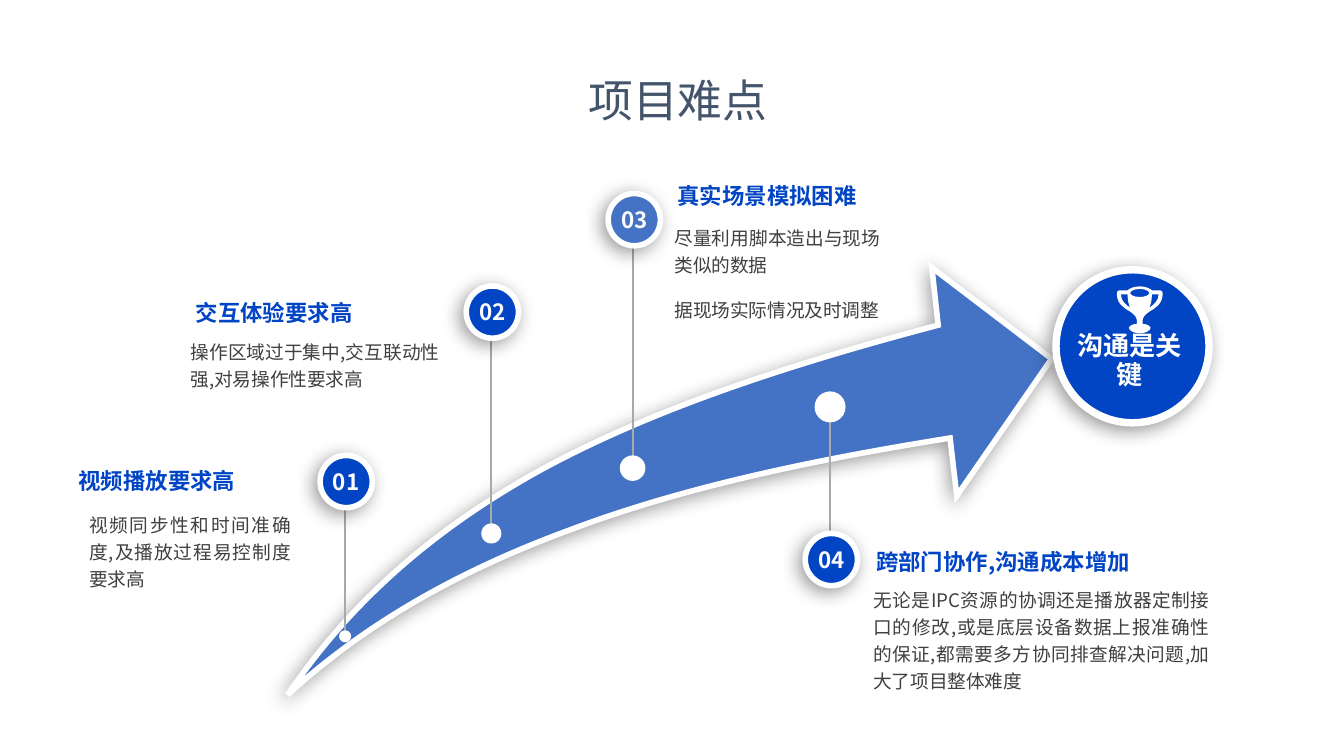
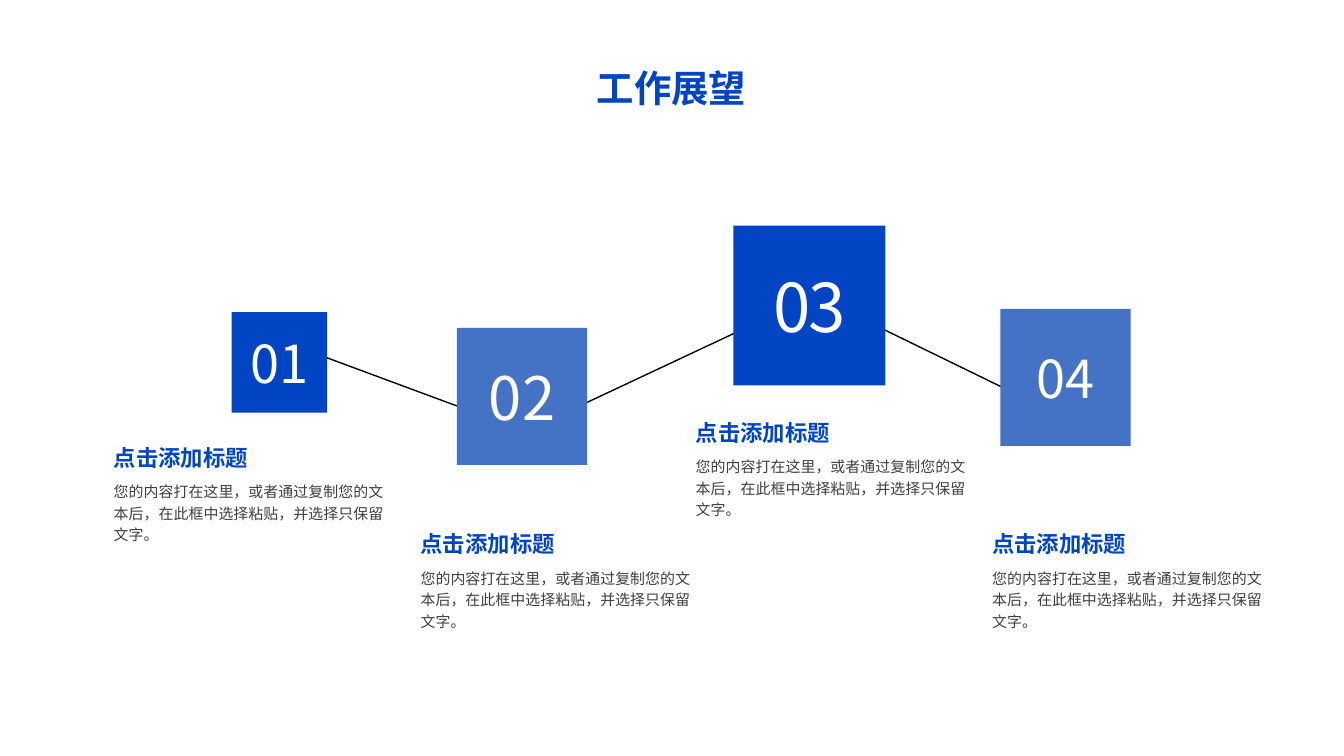
from itertools import pairwise

from lxml.etree import SubElement
from pptx import Presentation
from pptx.dml.color import RGBColor
from pptx.enum.shapes import MSO_CONNECTOR, MSO_SHAPE
from pptx.enum.text import MSO_ANCHOR, MSO_AUTO_SIZE, PP_ALIGN
from pptx.oxml.ns import qn
from pptx.util import Pt

FONT = "Noto Sans CJK SC"
BLUE, SOFT_BLUE, SLATE = "0145C5", "4472C4", "44546A"
GREY, STEM_GREY, WHITE, BLACK = "404040", "A6AAA9", "FFFFFF", "000000"
HEADING = dict(size=12, color=BLUE, bold=True, before=10)
BADGE_SIZE = 28

# Boxes are (left, top, width, height); dots are (x, y, diameter).
DIFFICULTIES = [
    dict(number="01", badge=(185.5, 258), dot=(184.9, 340.9, 6.5), fill=BLUE,
         heading="视频播放要求高", heading_box=(42.1, 246, 113, 24.5),
         body=["视频同步性和时间准确度,及播放过程易控制度要求高"],
         body_box=(47.8, 273, 108, 31)),
    dict(number="02", badge=(263.8, 167.2), dot=(263.2, 285.8, 10.8), fill=BLUE,
         heading="交互体验要求高", heading_box=(104.9, 156.2, 133, 24.5),
         body=["操作区域过于集中,交互联动性强,对易操作性要求高"],
         body_box=(102.1, 180.2, 133.2, 37)),
    dict(number="03", badge=(339.8, 117.7), dot=(338.9, 250.8, 13.7), fill=SOFT_BLUE,
         heading="真实场景模拟困难", heading_box=(363, 93.6, 109.4, 24.5),
         body=["尽量利用脚本造出与现场类似的数据", "据现场实际情况及时调整"],
         body_box=(361.4, 119.2, 110.2, 55)),
    dict(number="04", badge=(445.4, 299.8), dot=(444.7, 218, 16.6), fill=BLUE,
         heading="跨部门协作,沟通成本增加", heading_box=(469.4, 289.4, 146, 24.5),
         body=["无论是IPC资源的协调还是播放器定制接口的修改,或是底层设备数据上报"
               "准确性的保证,都需要多方协同排查解决问题,加大了项目整体难度"],
         body_box=(467.9, 313.2, 180, 60)),
]
GOAL, GOAL_CENTRE, GOAL_SIZE = "沟通是关键", (606.7, 185.5), 82

# Outlines: a pair is a straight step, six numbers are a Bézier step.
ARROW = [(154.1, 372.2), (187.2, 323.3, 231.1, 284.4, 288, 252.7),
         (345.6, 221, 417.6, 196.6, 502.6, 174.2), (499.2, 143.3), (563.4, 192.2),
         (512.6, 265.7), (509, 234.7), (432, 247, 364.3, 261.7, 306, 283.7),
         (247, 305.3, 196.6, 333.4, 154.1, 372.2)]
# Trophy parts are measured from its axis and top; the left half is given.
TROPHY_ORIGIN = (610.6, 153.4)
CUP_HALF = [(0, 0), (-3.6, 0, -5.8, 1.4, -6.5, 2.1), (-10.8, 2.1),
            (-11.6, 2.1, -12.3, 2.8, -12.3, 3.6),
            (-12.3, 9.3, -8.7, 11.5, -5.1, 13.6),
            (-2.9, 15.1, -1.5, 16.5, -1.5, 18.7), (-1.5, 20.1),
            (-4.4, 20.1, -5.8, 21.6, -5.8, 22.3),
            (-5.8, 23.7, -2.9, 25.2, 0, 25.2)]
RIM_HALF = [(0, 1.4), (-3.6, 1.4, -5.1, 2.8, -5.1, 3.6),
            (-5.1, 4.3, -3.6, 5.7, 0, 5.7)]
HANDLE = [(-10.1, 4.3), (-6.5, 4.3), (-6.5, 7.9, -5.8, 10, -5.1, 11.5),
          (-7.2, 10, -10.1, 7.9, -10.1, 4.3)]

OUTLOOK = [
    dict(number="01", square=(124.1, 167.3, 51.1, 53.8), fill=BLUE, size=28,
         knot=(172.8, 190.8), caption=(53.8, 230)),
    dict(number="02", square=(244.8, 175.7, 69.8, 73.4), fill=SOFT_BLUE, size=32,
         knot=(281.5, 231.1), caption=(218.2, 276.2)),
    dict(number="03", square=(392.9, 120.8, 81.4, 85.7), fill=BLUE, size=36,
         knot=(436.3, 158.4), caption=(365.6, 216.5), spacing=-1.1),
    dict(number="04", square=(536, 165.5, 69.8, 73.4), fill=SOFT_BLUE, size=28,
         knot=(553, 215.3), caption=(524.4, 276.2)),
]
CAPTION_HEADING = "点击添加标题"
CAPTION_BODY = "您的内容打在这里，或者通过复制您的文本后，在此框中选择粘贴，并选择只保留文字。"


def rgb(color):
    return RGBColor.from_string(color)


def points(values):
    return [Pt(value) for value in values]


def write(shape, text, size, color, bold=False, align=PP_ALIGN.LEFT, line=1.0,
          before=0, after=0, anchor=MSO_ANCHOR.TOP, margins=(0, 0), wrap=True,
          grow=False, spacing=0):
    """Fill a shape with one string, or with a list of (string, alignment)."""
    frame = shape.text_frame
    frame.word_wrap = wrap
    frame.vertical_anchor = anchor
    frame.auto_size = MSO_AUTO_SIZE.SHAPE_TO_FIT_TEXT if grow else MSO_AUTO_SIZE.NONE
    frame.margin_left = frame.margin_right = Pt(margins[0])
    frame.margin_top = frame.margin_bottom = Pt(margins[1])
    parts = [(text, align)] if isinstance(text, str) else text
    for index, (content, alignment) in enumerate(parts):
        para = frame.add_paragraph() if index else frame.paragraphs[0]
        para.alignment = alignment
        para.line_spacing = line
        para.space_before, para.space_after = Pt(before), Pt(after)
        span = para.add_run()
        span.text = content
        span.font.size, span.font.bold, span.font.name = Pt(size), bold, FONT
        span.font.color.rgb = rgb(color)
        properties = span.font._element
        SubElement(properties, qn("a:ea"), typeface=FONT)
        if spacing:
            properties.set("spc", str(round(spacing * 100)))


def add_text(page, area, text, **style):
    box = page.shapes.add_textbox(*points(area))
    write(box, text, **style)


def add_title(page, text, area, **style):
    title = page.shapes.title
    title.left, title.top, title.width, title.height = points(area)
    write(title, text, align=PP_ALIGN.CENTER, line=1.5, after=4.5,
          margins=(7.2, 3.6), wrap=False, grow=True, **style)


def paint(shape, fill, outline=0, shadow=False):
    shape.shadow.inherit = False
    shape.fill.solid()
    shape.fill.fore_color.rgb = rgb(fill)
    if outline:
        shape.line.color.rgb = rgb(WHITE)
        shape.line.width = Pt(outline)
        SubElement(shape._element.spPr.find(qn("a:ln")), qn("a:miter"), lim="800000")
    else:
        shape.line.fill.background()
    if shadow:
        effects = shape._element.spPr.find(qn("a:effectLst"))
        outer = SubElement(effects, qn("a:outerShdw"), blurRad=str(Pt(10)),
                           dist=str(Pt(3)), dir="8100000", algn="ctr",
                           rotWithShape="0")
        tone = SubElement(outer, qn("a:srgbClr"), val=BLACK)
        SubElement(tone, qn("a:alpha"), val="40000")


def add_circle(page, x, y, diameter, fill, **finish):
    area = (x - diameter / 2, y - diameter / 2, diameter, diameter)
    circle = page.shapes.add_shape(MSO_SHAPE.OVAL, *points(area))
    paint(circle, fill, **finish)
    return circle


def add_line(page, start, end, color, width):
    line = page.shapes.add_connector(MSO_CONNECTOR.STRAIGHT, *points(start + end))
    line.line.color.rgb = rgb(color)
    line.line.width = Pt(width)
    SubElement(line._element.spPr, qn("a:effectLst"))


def pairs(step):
    return list(zip(step[::2], step[1::2]))


def mirror(outline):
    return [tuple(value for x, y in pairs(step) for value in (-x, y))
            for step in outline]


def complete(half):
    """Close a left half, drawn from top to bottom, with its mirrored right half."""
    steps = [half[0]]
    for before, step in reversed(list(pairwise(mirror(half)))):
        corners = pairs(step)[-2::-1] + [before[-2:]]
        steps.append(tuple(value for corner in corners for value in corner))
    return half + steps[1:]


def add_outline(page, contours, fill, origin=(0, 0), **finish):
    """Draw straight steps to every vertex, then bend the Bézier ones."""
    def place(step):
        return [(Pt(origin[0] + x), Pt(origin[1] + y)) for x, y in pairs(step)]

    builder = page.shapes.build_freeform(*place(contours[0][0])[0], scale=1.0)
    for index, contour in enumerate(contours):
        if index:
            builder.move_to(*place(contour[0])[0])
        builder.add_line_segments([place(step)[-1] for step in contour[1:]], close=False)
    shape = builder.convert_to_shape()
    outline = shape._element.spPr.find(".//" + qn("a:path"))
    steps = [step for contour in contours for step in contour]
    for segment, step in zip(list(outline), steps):
        if len(step) == 6:
            segment.clear()
            curve = SubElement(outline, qn("a:cubicBezTo"))
            for x, y in place(step):
                SubElement(curve, qn("a:pt"), x=str(x - shape.left), y=str(y - shape.top))
            outline.replace(segment, curve)
    paint(shape, fill, **finish)


def add_trophy(page):
    contours = [complete(CUP_HALF), complete(RIM_HALF), HANDLE, mirror(HANDLE)]
    add_outline(page, contours, WHITE, origin=TROPHY_ORIGIN)


def build_difficulties(page):
    add_title(page, "项目难点", (307.4, 20.9, 111.6, 46), size=24, color=SLATE, before=4.8)
    add_outline(page, [ARROW], SOFT_BLUE, outline=3, shadow=True)
    for item in DIFFICULTIES:
        x, y, _ = item["dot"]
        add_line(page, (x, y), (x, item["badge"][1]), STEM_GREY, 1)
    for item in DIFFICULTIES:
        badge = add_circle(page, *item["badge"], BADGE_SIZE, item["fill"],
                           outline=3, shadow=True)
        write(badge, item["number"], size=12, color="FCFCFC", bold=True,
              align=PP_ALIGN.CENTER, line=Pt(14), anchor=MSO_ANCHOR.MIDDLE, wrap=False)
        add_circle(page, *item["dot"], WHITE)
        add_text(page, item["heading_box"], item["heading"], line=0.9,
                 anchor=MSO_ANCHOR.MIDDLE, **HEADING)
        alignments = (PP_ALIGN.JUSTIFY, PP_ALIGN.LEFT)
        add_text(page, item["body_box"], list(zip(item["body"], alignments)),
                 size=10, color=GREY, line=1.2, before=10)
    add_circle(page, *GOAL_CENTRE, GOAL_SIZE, BLUE, outline=4, shadow=True)
    add_trophy(page)
    add_text(page, (570.4, 181.5, 69.8, 24.5), GOAL, size=14, color=WHITE, bold=True,
             align=PP_ALIGN.CENTER, line=0.9, before=10, anchor=MSO_ANCHOR.MIDDLE)


def build_outlook(page):
    add_title(page, "工作展望", (312.3, 19.4, 95, 39.6), size=20, color=BLUE,
              bold=True, before=4)
    for start, end in pairwise(item["knot"] for item in OUTLOOK):
        add_line(page, start, end, BLACK, 0.75)
    for item in OUTLOOK:
        square = page.shapes.add_shape(MSO_SHAPE.RECTANGLE, *points(item["square"]))
        paint(square, item["fill"])
        write(square, item["number"], size=item["size"], color=WHITE,
              align=PP_ALIGN.CENTER, anchor=MSO_ANCHOR.MIDDLE, wrap=False,
              spacing=item.get("spacing", 0))
        left, top = item["caption"]
        add_text(page, (left, top + 23.3, 164.2, 42.5), CAPTION_BODY, size=8,
                 color=GREY, line=1.2, margins=(7.2, 3.6), grow=True)
        add_text(page, (left, top, 128.2, 24.5), CAPTION_HEADING, line=1.3,
                 margins=(7.2, 3.6), grow=True, **HEADING)


def main():
    deck = Presentation()
    deck.slide_width, deck.slide_height = Pt(720), Pt(405)
    title_only = deck.slide_layouts[5]
    for build in (build_difficulties, build_outlook):
        build(deck.slides.add_slide(title_only))
    deck.save("out.pptx")


if __name__ == "__main__":
    main()
